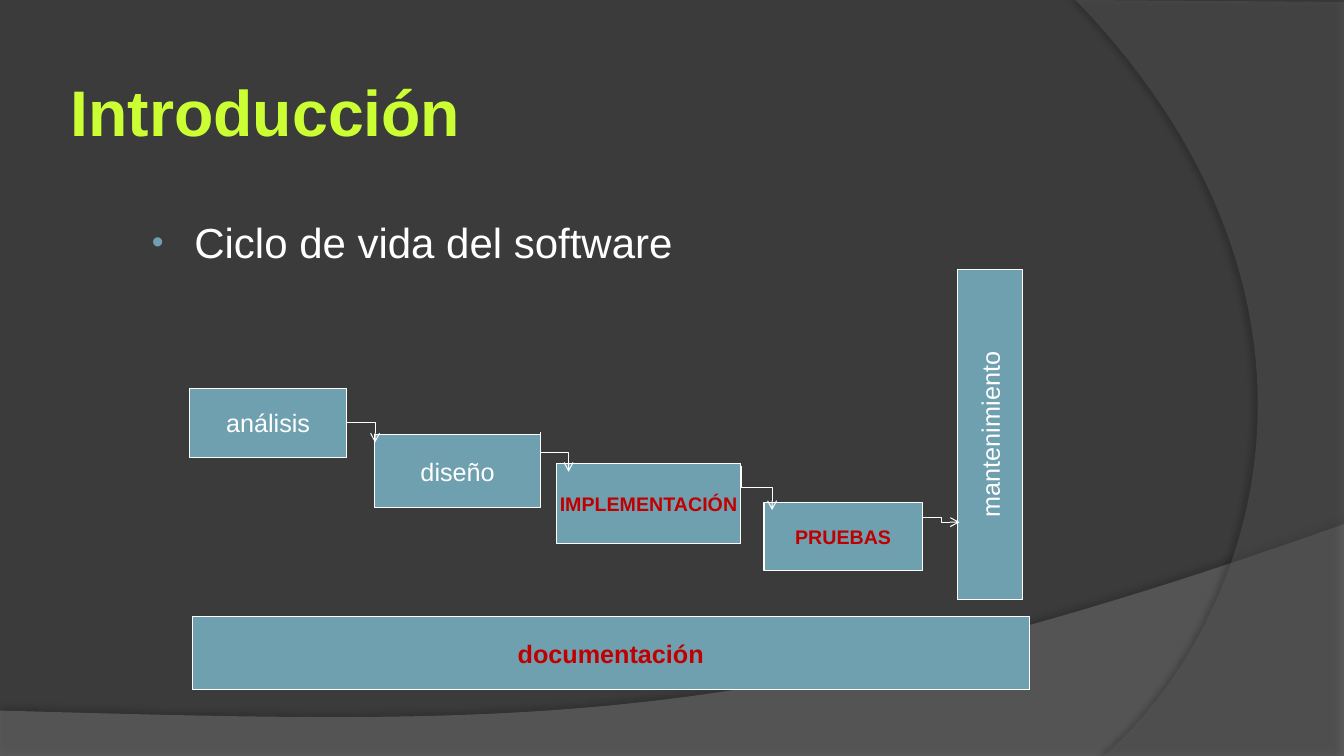
from lxml.etree import SubElement as Sub
from pptx import Presentation
from pptx.dml.color import RGBColor as Rgb
from pptx.enum.shapes import MSO_CONNECTOR as Link, MSO_SHAPE as Form
from pptx.enum.text import MSO_ANCHOR as Anchor, PP_ALIGN as Align
from pptx.oxml.ns import qn
from pptx.util import Emu, Inches, Pt

COLS, ROWS = 160, 90
CELL = Inches(7.5) / ROWS
HUE = {"back": "3B3B3B", "wave": "7F7F7F", "arc": "5E5E5E", "title": "CCFF33",
       "box": "6EA0B0", "text": "FFFFFF", "key": "C00000", "shade": "000000"}


def grid(*cells):
    return [Emu(round(c * CELL)) for c in cells]


def color(name):
    return Rgb.from_string(HUE[name])


def write(frame, text, size=18, hue="text", bold=False, align=Align.LEFT,
          anchor=Anchor.TOP, wrap=True, inset=None):
    frame.word_wrap, frame.vertical_anchor = wrap, anchor
    if inset:
        frame.margin_left, frame.margin_top = grid(*inset)
    para = frame.paragraphs[0]
    para.alignment = align
    run = para.add_run()
    run.text = text
    font = run.font
    font.name, font.size, font.bold = "Arial", Pt(size), bold
    font.color.rgb = color(hue)
    return para


def curve(start, one, two, end, steps=60):
    """Points along a cubic curve, without its start."""
    for i in range(1, steps + 1):
        t = i / steps
        u = 1 - t
        yield tuple(u**3 * a + 3 * u * u * t * b + 3 * u * t * t * c + t**3 * d
                    for a, b, c, d in zip(start, one, two, end))


def swoosh(slide, box, edge, bend, hue, alpha, shade):
    """Translucent area: straight edge, then a curve from its last corner."""
    x, y = box
    pts = [grid(x + a, y + b) for a, b in [*edge, *curve(edge[-1], *bend)]]
    pen = slide.shapes.build_freeform(*pts[0], scale=1.0)
    pen.add_line_segments(pts[1:], close=True)
    shape = pen.convert_to_shape()
    shape.shadow.inherit = False
    shape.fill.solid()
    shape.fill.fore_color.rgb = color(hue)
    shape.line.fill.background()
    props = shape._element.spPr
    tint = props.find(qn("a:solidFill")).find(qn("a:srgbClr"))
    Sub(tint, qn("a:alpha"), val=str(alpha * 1000))
    blur, dist, angle, dark = shade
    drop = Sub(props.find(qn("a:effectLst")), qn("a:outerShdw"),
               blurRad=str(Pt(blur)), dist=str(Pt(dist)),
               dir=str(angle * 60000), algn="ctr", rotWithShape="0")
    black = Sub(drop, qn("a:srgbClr"), val=HUE["shade"])
    Sub(black, qn("a:alpha"), val=str(dark * 1000))


def scene(slide):
    slide.background.fill.solid()
    slide.background.fill.fore_color.rgb = color("back")
    swoosh(slide, (0, 62.4), [(0, 22.2), (0, 27.6), (COLS, 27.6), (COLS, 0)],
           [(89.4, 25.08), (62.52, 23.88), (0, 22.2)],
           "wave", 45, (4, 3.5, 270, 35))
    swoosh(slide, (128, 0), [(32, 0.24), (32, ROWS), (3.4, ROWS)],
           [(21.52, 74.28), (34.84, 36), (0.04, 0)],
           "arc", 40, (4, 4, 180, 45))


def heading(slide, box):
    title = slide.shapes.title
    title.left, title.top, title.width, title.height = grid(*box)
    write(title.text_frame, "Introducción", size=46, hue="title", bold=True,
          inset=(1.7, 2.3))


def topic(slide, box):
    area = slide.shapes.add_textbox(*grid(*box))
    para = write(area.text_frame, "Ciclo de vida del software", size=30,
                 inset=(1.2, 1.1))
    props = para._p.get_or_add_pPr()
    props.set("marL", str(Inches(0.46)))
    props.set("indent", str(Inches(-0.42)))
    Sub(Sub(props, qn("a:buClr")), qn("a:srgbClr"), val=HUE["box"])
    Sub(props, qn("a:buSzPct"), val="80000")
    Sub(props, qn("a:buFont"), typeface="Arial")
    Sub(props, qn("a:buChar"), char="•")


def phase(slide, box, text, turn=False, **style):
    shape = slide.shapes.add_shape(Form.RECTANGLE, *grid(*box))
    shape.shadow.inherit = False
    shape.fill.solid()
    shape.fill.fore_color.rgb = color("box")
    shape.line.color.rgb = color("text")
    shape.line.width = Pt(0.75)
    write(shape.text_frame, text, align=Align.CENTER, anchor=Anchor.MIDDLE,
          wrap=False, **style)
    if turn:
        shape.text_frame._txBody.bodyPr.set("vert", "vert270")


def arrow(slide, x1, y1, x2, y2, down=True):
    """Elbow arrow; one that leaves downwards is a quarter turn of the other."""
    ends = x1, y1, x2, y2
    if down:
        mx, my = (x1 + x2) / 2, (y1 + y2) / 2
        dx, dy = (x2 - x1) / 2, (y2 - y1) / 2
        ends = mx + dy, my - dx, mx - dy, my + dx
    link = slide.shapes.add_connector(Link.ELBOW, *grid(*ends))
    link.line.color.rgb = color("text")
    link.line.width = Pt(0.75)
    props = link._element.spPr
    if down:
        props.find(qn("a:xfrm")).set("rot", str(270 * 60000))
    Sub(props.find(qn("a:ln")), qn("a:tailEnd"), type="arrow")
    Sub(props, qn("a:effectLst"))


def cycle(slide, box):
    x, y = box
    key = {"hue": "key", "bold": True}
    for (left, top, *size), text, style in [
            ((0, 14.16, 18.72, 8.28), "análisis", {}),
            ((22.08, 19.68, 19.68, 8.76), "diseño", {}),
            ((43.68, 23.16, 21.96, 9.48), "IMPLEMENTACIÓN", {**key, "size": 14}),
            ((68.4, 27.84, 18.84, 8.04), "PRUEBAS", {**key, "size": 14}),
            ((91.44, 0, 7.68, 39.36), "mantenimiento", {"turn": True}),
            ((0.36, 41.4, 99.6, 8.64), "documentación", key)]:
        phase(slide, (x + left, y + top, *size), text, **style)
    for x1, y1, x2, y2, down in [
            (18.72, 15.96, 22.08, 20.64, True),
            (41.76, 19.44, 45.12, 24.12, True),
            (65.76, 23.4, 69.36, 28.68, True),
            (87.36, 29.52, 91.68, 30.12, False)]:
        arrow(slide, x + x1, y + y1, x + x2, y + y2, down)


def main():
    deck = Presentation()
    deck.slide_width, deck.slide_height = grid(COLS, ROWS)
    slide = deck.slides.add_slide(deck.slide_layouts[5])
    scene(slide)
    heading(slide, (6.72, 6.24, 104, 15))
    topic(slide, (16.44, 24.72, 101, 48.84))
    cycle(slide, (22.56, 32.04))
    deck.save("out.pptx")


if __name__ == "__main__":
    main()
